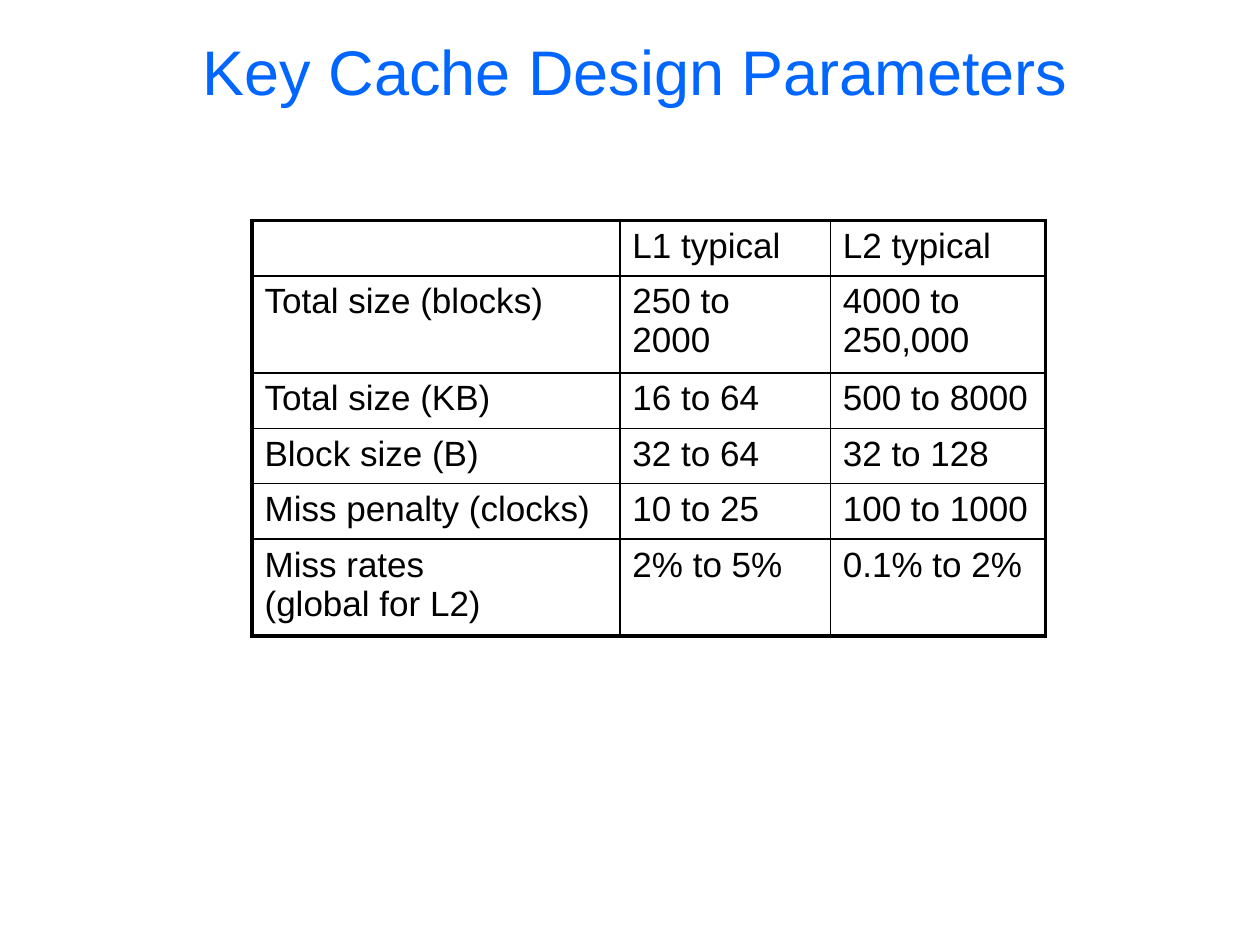
from lxml import etree
from pptx import Presentation
from pptx.dml.color import RGBColor
from pptx.enum.text import MSO_ANCHOR, PP_ALIGN
from pptx.oxml.ns import qn
from pptx.util import Inches, Pt

CENTER, MIDDLE, TOP = PP_ALIGN.CENTER, MSO_ANCHOR.MIDDLE, MSO_ANCHOR.TOP
FONT, BLUE, BLACK = "Arial", "0066FF", "000000"
THIN, THICK = 1, 2.25
COL_WIDTHS = [2.92, 1.67, 1.71]
LINE_ROW, DOUBLE_ROW = 0.44, 0.77
ROW_HEIGHTS = [LINE_ROW, DOUBLE_ROW, LINE_ROW, LINE_ROW, LINE_ROW, DOUBLE_ROW]
PARAMETERS = [
    ["", "L1 typical", "L2 typical"],
    ["Total size (blocks)", "250 to 2000", "4000 to 250,000"],
    ["Total size (KB)", "16 to 64", "500 to 8000"],
    ["Block size (B)", "32 to 64", "32 to 128"],
    ["Miss penalty (clocks)", "10 to 25", "100 to 1000"],
    ["Miss rates\v(global for L2)", "2% to 5%", "0.1% to 2%"],
]


def rgb(color):
    """Turn a hex string into a colour."""
    return RGBColor.from_string(color)


def set_text(tf, text, size, color):
    """Write text into a frame and format its runs."""
    tf.text = text
    for p in tf.paragraphs:
        p.font.size = Pt(size)
        for r in p.runs:
            r.font.name, r.font.size = FONT, Pt(size)
            r.font.color.rgb = rgb(color)


def add_title(s, text):
    """Add the centred slide title."""
    box = s.shapes.add_textbox(Inches(0.58), Inches(0.33), Inches(8.92), Inches(0.46))
    tf = box.text_frame
    tf.word_wrap = True
    tf.vertical_anchor = MIDDLE
    set_text(tf, text, 36, BLUE)
    tf.paragraphs[0].alignment = CENTER


def set_borders(cell, widths):
    """Draw the left, right, top and bottom borders of a cell."""
    props = cell._tc.get_or_add_tcPr()
    for i, (side, width) in enumerate(zip("LRTB", widths)):
        line = etree.Element(qn(f"a:ln{side}"), w=str(Pt(width)))
        fill = etree.SubElement(line, qn("a:solidFill"))
        etree.SubElement(fill, qn("a:srgbClr"), val=BLACK)
        props.insert(i, line)


def add_grid(s, rows, left, top):
    """Add a table with thin inner lines and a thick frame."""
    last_row, last_col = len(rows) - 1, len(rows[0]) - 1
    frame = s.shapes.add_table(
        len(rows), len(rows[0]), Inches(left), Inches(top),
        Inches(sum(COL_WIDTHS)), Inches(sum(ROW_HEIGHTS)))
    table = frame.table
    table.first_row = table.horz_banding = False
    for col, width in zip(table.columns, COL_WIDTHS):
        col.width = Inches(width)
    for row, height in zip(table.rows, ROW_HEIGHTS):
        row.height = Inches(height)
    for i, texts in enumerate(rows):
        for j, text in enumerate(texts):
            cell = table.cell(i, j)
            cell.vertical_anchor = TOP
            cell.fill.background()
            set_text(cell.text_frame, text, 20, BLACK)
            on_frame = (j == 0, j == last_col, i == 0, i == last_row)
            set_borders(cell, [THICK if edge else THIN for edge in on_frame])


def main():
    """Build and save the slide."""
    prs = Presentation()
    prs.slide_width, prs.slide_height = Inches(10), Inches(7.5)
    s = prs.slides.add_slide(prs.slide_layouts[6])
    add_title(s, "Key Cache Design Parameters")
    add_grid(s, PARAMETERS, 2, 1.75)
    prs.save("out.pptx")


main()
